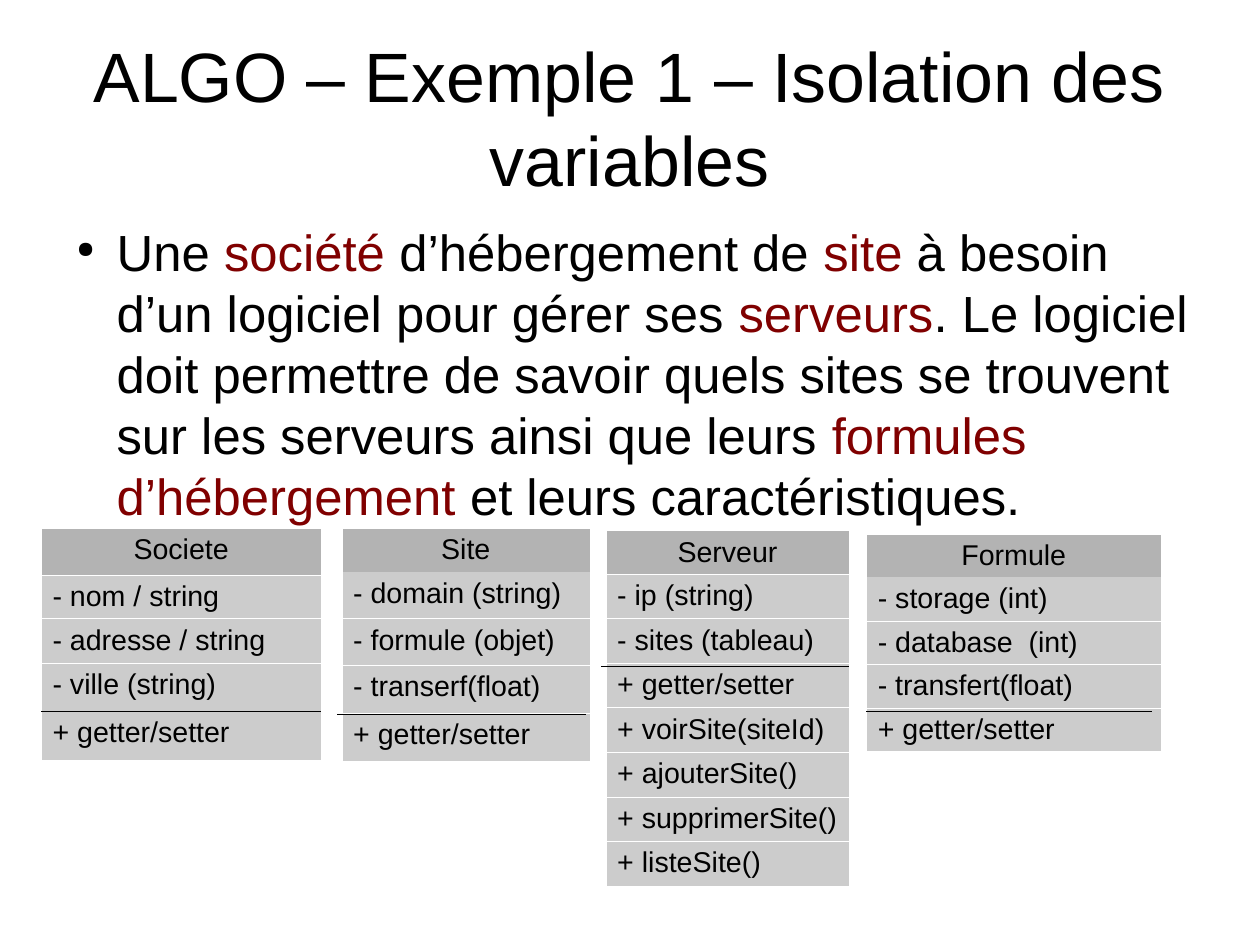
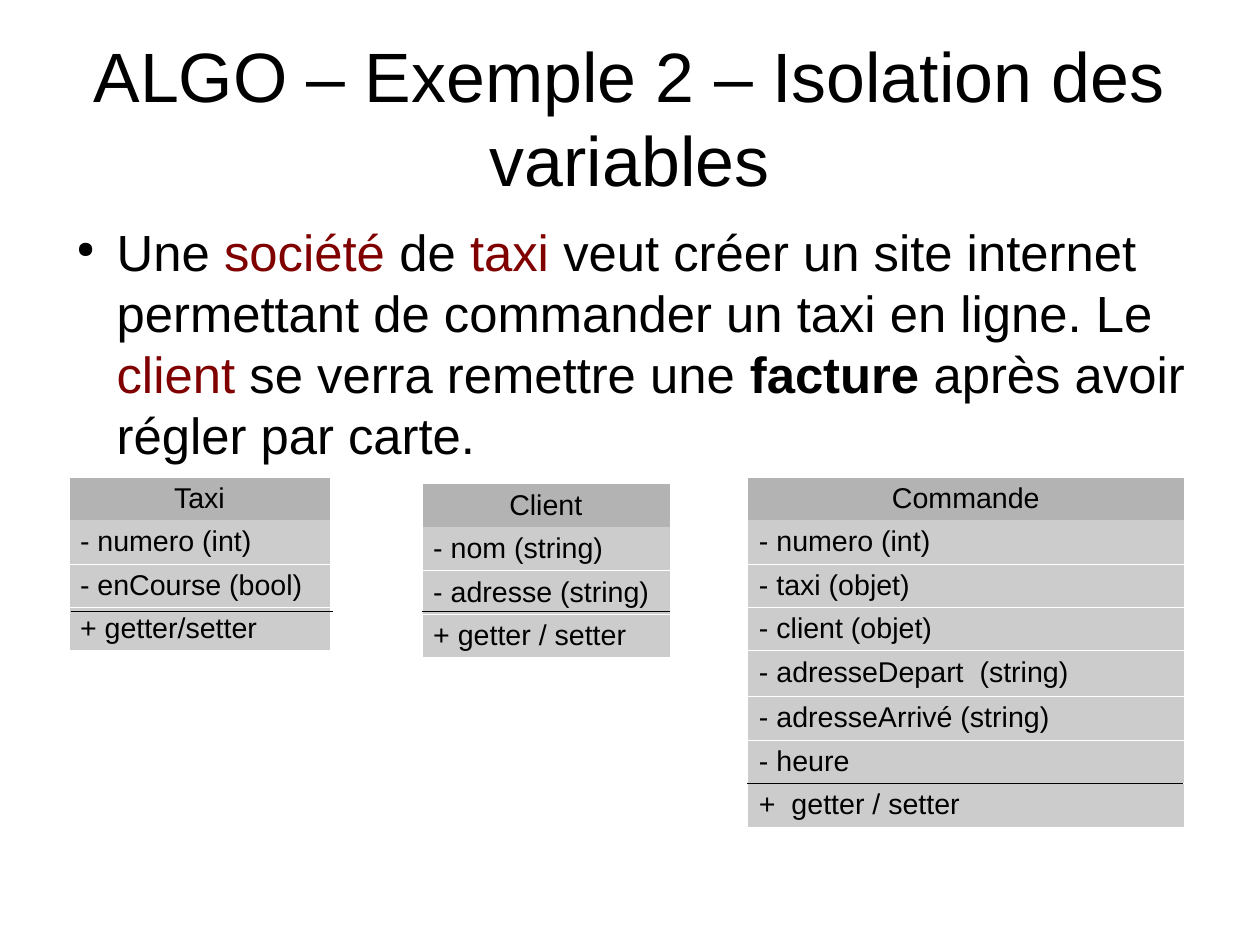
import pptx
import pptx.util
import pptx.dml.color
import pptx.enum.shapes
import pptx.enum.text
import pptx.oxml
import pptx.oxml.ns
from pptx.util import Inches

FONT = "Arial"
BLACK, RED, WHITE = "000000", "800000", "FFFFFF"
HEAD, ROW = "B3B3B3", "CCCCCC"
HAIR = pptx.util.Pt(0.06)
ALIGN = pptx.enum.text.PP_ALIGN
ANCHOR = pptx.enum.text.MSO_ANCHOR
KEY = {"color": RED}
BOLD = {"bold": True}

# Content: "box" is left, top, width; "line" is start, end, height;
# "rows" holds the row heights, "rule" a white line under the heading
SLIDES = [
    {
        "title": "ALGO – Exemple 1 – Isolation des variables",
        "body": [
            ("Une ", {}), ("société", KEY), (" d’hébergement de ", {}), ("site", KEY),
            (" à besoin d’un logiciel pour gérer ses ", {}), ("serveurs", KEY),
            (". Le logiciel doit permettre de savoir quels sites se trouvent sur "
             "les serveurs ainsi que leurs ", {}),
            ("formules d’hébergement", KEY), (" et leurs caractéristiques.", {}),
        ],
        "tables": [
            {"box": (0.36, 4.62, 2.45), "line": (0.36, 2.81, 6.22), "rule": True,
             "rows": [0.41, 0.38, 0.39, 0.42, 0.43],
             "cells": ["Societe", "- nom / string", "- adresse / string",
                       "- ville (string)", "+ getter/setter"]},
            {"box": (2.99, 4.62, 2.17), "line": (2.95, 5.13, 6.25), "rule": False,
             "rows": [0.38, 0.41, 0.41, 0.42, 0.42],
             "cells": ["Site", "- domain (string)", "- formule (objet)",
                       "- transerf(float)", "+ getter/setter"]},
            {"box": (5.3, 4.64, 2.13), "line": (5.26, 7.43, 5.83), "rule": True,
             "rows": [0.38] + [0.39] * 7,
             "cells": ["Serveur", "- ip (string)", "- sites (tableau)",
                       "+ getter/setter", "+ voirSite(siteId)", "+ ajouterSite()",
                       "+ supprimerSite()", "+ listeSite()"]},
            {"box": (7.58, 4.67, 2.58), "line": (7.58, 10.08, 6.22), "rule": False,
             "rows": [0.38] * 5,
             "cells": ["Formule", "- storage (int)", "- database  (int)",
                       "- transfert(float)", "+ getter/setter"]},
        ],
    },
    {
        "title": "ALGO – Exemple 2 – Isolation des variables",
        "body": [
            ("Une ", {}), ("société", KEY), (" de ", {}), ("taxi", KEY),
            (" veut créer un site internet permettant de commander un taxi "
             "en ligne. Le ", {}),
            ("client", KEY), (" se verra remettre une ", {}), ("facture", BOLD),
            (" après avoir régler par carte.", {}),
        ],
        "tables": [
            {"box": (0.6, 4.17, 2.29), "line": (0.62, 2.91, 5.35), "rule": False,
             "rows": [0.38] * 4,
             "cells": ["Taxi", "- numero (int)", "- enCourse (bool)",
                       "+ getter/setter"]},
            {"box": (3.69, 4.23, 2.17), "line": (3.69, 5.86, 5.35), "rule": False,
             "rows": [0.38] * 4,
             "cells": ["Client", "- nom (string)", "- adresse (string)",
                       "+ getter / setter"]},
            {"box": (6.54, 4.17, 3.82), "line": (6.54, 10.35, 6.85), "rule": False,
             "rows": [0.38] * 4 + [0.4] + [0.38] * 3,
             "cells": ["Commande", "- numero (int)", "- taxi (objet)",
                       "- client (objet)", "- adresseDepart  (string)",
                       "- adresseArrivé (string)", "- heure", "+  getter / setter"]},
        ],
    },
]


def rgb(code):
    return pptx.dml.color.RGBColor.from_string(code)


def add_xml(node, tag, inner="", **attrs):
    """Append one drawing element to a node."""
    names = " ".join(f'{key}="{val}"' for key, val in attrs.items())
    node.append(pptx.oxml.parse_xml(
        f'<a:{tag} {pptx.oxml.ns.nsdecls("a")} {names}>{inner}</a:{tag}>'))


def write(frame, runs, size=18, align=ALIGN.LEFT, bullet=False):
    """Fill a text frame with one paragraph of (text, style) runs."""
    if isinstance(runs, str):
        runs = [(runs, {})]
    para = frame.paragraphs[0]
    para.alignment = align
    if bullet:
        props = para._p.get_or_add_pPr()
        props.set("marL", str(Inches(0.47)))
        props.set("indent", str(Inches(-0.35)))
        add_xml(props, "buClr", f'<a:srgbClr val="{BLACK}"/>')
        add_xml(props, "buSzPct", val="45000")
        add_xml(props, "buChar", char="●")
    for text, style in runs:
        run = para.add_run()
        run.text = text
        run.font.name = FONT
        run.font.size = pptx.util.Pt(size)
        run.font.bold = style.get("bold", False)
        run.font.color.rgb = rgb(style.get("color", BLACK))


def strip(frame, anchor):
    """Wrap the text, drop the margins and set the anchor."""
    frame.word_wrap = True
    frame.auto_size = pptx.enum.text.MSO_AUTO_SIZE.NONE
    frame.vertical_anchor = anchor
    frame.margin_left = frame.margin_right = 0
    frame.margin_top = frame.margin_bottom = 0


def edge(cell, hidden):
    """Draw thin white cell borders, except the hidden side."""
    props = cell._tc.get_or_add_tcPr()
    fill = f'<a:solidFill><a:srgbClr val="{WHITE}"/></a:solidFill>'
    for side in ("lnL", "lnR", "lnT", "lnB"):
        add_xml(props, side, "<a:noFill/>" if side == hidden else fill, w=int(HAIR))


def add_class(slide, item):
    """Draw a class table and the line above its methods."""
    left, top, width = item["box"]
    rows = item["rows"]
    table = slide.shapes.add_table(
        len(rows), 1, Inches(left), Inches(top),
        Inches(width), Inches(sum(rows))).table
    for num, (high, text) in enumerate(zip(rows, item["cells"])):
        table.rows[num].height = Inches(high)
        cell = table.cell(num, 0)
        hidden = None if item["rule"] else {0: "lnB", 1: "lnT"}.get(num)
        edge(cell, hidden)
        cell.fill.solid()
        cell.fill.fore_color.rgb = rgb(ROW if num else HEAD)
        write(cell.text_frame, text, align=ALIGN.LEFT if num else ALIGN.CENTER)

    start, end, level = item["line"]
    line = slide.shapes.add_connector(
        pptx.enum.shapes.MSO_CONNECTOR.STRAIGHT,
        Inches(start), Inches(level), Inches(end), Inches(level))
    line.line.color.rgb = rgb(BLACK)
    line.line.width = HAIR
    add_xml(line._element.spPr, "effectLst")


def add_page(deck, page):
    slide = deck.slides.add_slide(deck.slide_layouts[5])
    # Title
    title = slide.shapes.title
    title.left, title.top = Inches(0.55), Inches(0.33)
    title.width, title.height = Inches(9.92), Inches(1.38)
    strip(title.text_frame, ANCHOR.MIDDLE)
    write(title.text_frame, page["title"], size=44, align=ALIGN.CENTER)
    # Statement
    body = slide.shapes.add_textbox(
        Inches(0.55), Inches(1.93), Inches(9.92), Inches(4.79))
    strip(body.text_frame, ANCHOR.TOP)
    write(body.text_frame, page["body"], size=32, bullet=True)
    # Classes
    for item in page["tables"]:
        add_class(slide, item)


def main():
    deck = pptx.Presentation()
    # The page is 28 by 21 cm
    deck.slide_width, deck.slide_height = pptx.util.Cm(28), pptx.util.Cm(21)
    for page in SLIDES:
        add_page(deck, page)
    deck.save("out.pptx")


if __name__ == "__main__":
    main()
